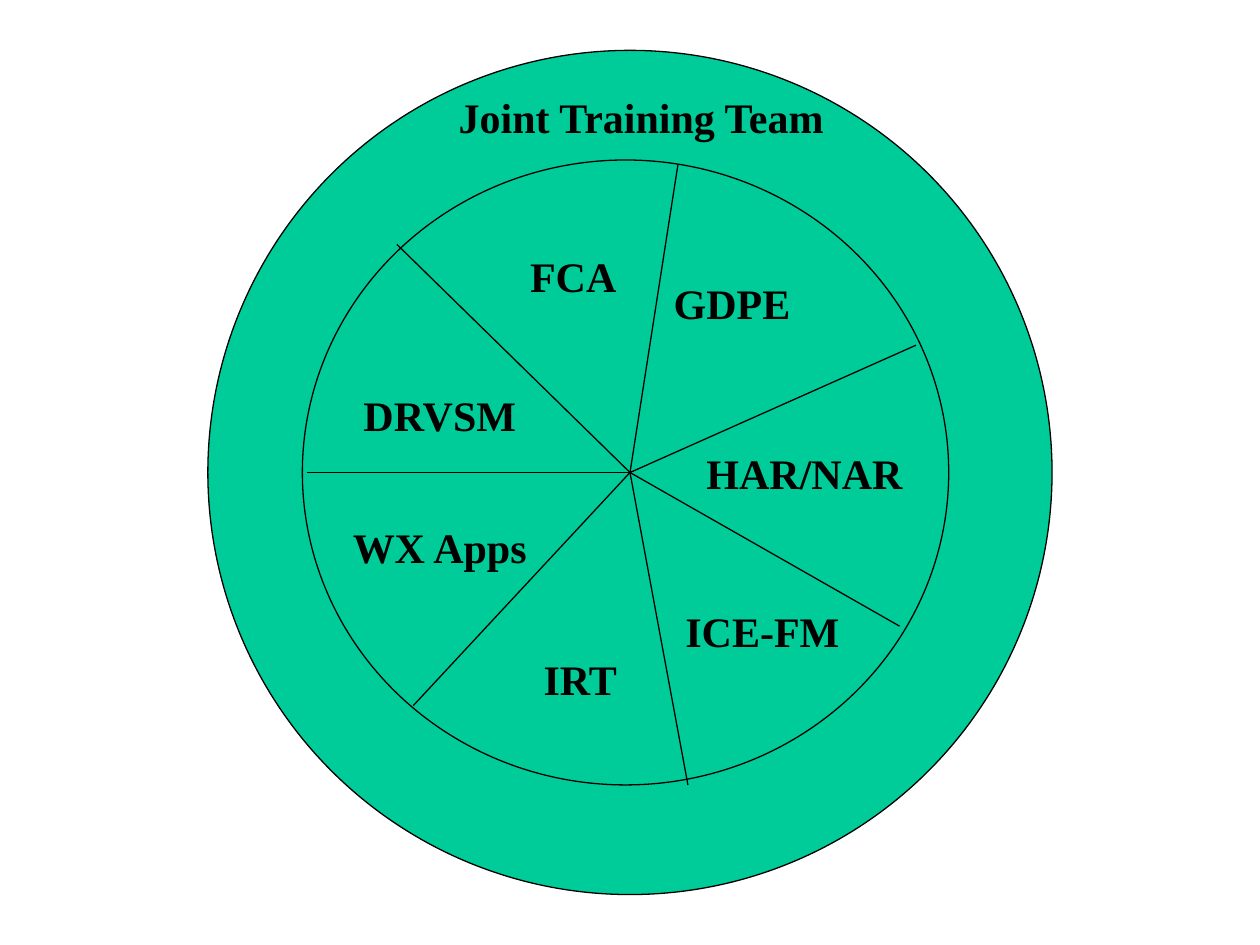
from lxml.etree import SubElement
from pptx import Presentation
from pptx.dml.color import RGBColor
from pptx.enum.shapes import MSO_CONNECTOR, MSO_SHAPE
from pptx.enum.text import MSO_ANCHOR, MSO_AUTO_SIZE, PP_ALIGN
from pptx.oxml.ns import qn
from pptx.util import Inches, Pt

COLORS = {"disc": "00CC99", "ink": "000000"}
FONT = "Times New Roman"
LABEL_HEIGHT = 0.5
HUB = (5, 3.75)
SPOKE_ENDS = [
    (3.15, 1.94),
    (5.38, 1.31),
    (7.27, 2.74),
    (7.14, 4.97),
    (5.46, 6.23),
    (3.28, 5.6),
    (2.44, 3.75),
]
SECTORS = [
    ("FCA", 4.11, 1.94, 0.88),
    ("GDPE", 5.25, 2.15, 1.12),
    ("HAR/NAR", 5.51, 3.5, 1.75),
    ("ICE-FM", 5.34, 4.76, 1.42),
    ("IRT", 4.21, 5.14, 0.79),
    ("WX Apps", 2.69, 4.09, 1.6),
    ("DRVSM", 2.78, 3.04, 1.42),
]


def color(name):
    return RGBColor.from_string(COLORS[name])


def style_line(line):
    line.color.rgb = color("ink")
    line.width = Pt(0.75)


def add_circle(slide, left, top, width, height, fill=None):
    circle = slide.shapes.add_shape(
        MSO_SHAPE.OVAL, Inches(left), Inches(top), Inches(width), Inches(height)
    )
    circle.shadow.inherit = False
    if fill:
        circle.fill.solid()
        circle.fill.fore_color.rgb = color(fill)
    else:
        circle.fill.background()
    style_line(circle.line)


def add_spoke(slide, end):
    start_x, start_y = HUB
    end_x, end_y = end
    spoke = slide.shapes.add_connector(
        MSO_CONNECTOR.STRAIGHT,
        Inches(start_x), Inches(start_y), Inches(end_x), Inches(end_y),
    )
    style_line(spoke.line)
    SubElement(spoke.element.spPr, qn("a:effectLst"))


def format_label(shape, text, alignment):
    frame = shape.text_frame
    frame.text = text
    frame.word_wrap = False
    frame.auto_size = MSO_AUTO_SIZE.NONE
    frame.vertical_anchor = MSO_ANCHOR.TOP
    paragraph = frame.paragraphs[0]
    paragraph.alignment = alignment
    paragraph.font.name = FONT
    paragraph.font.size = Pt(24)
    paragraph.font.bold = True
    paragraph.font.color.rgb = color("ink")


def add_sector_label(slide, text, left, top, width):
    label = slide.shapes.add_textbox(
        Inches(left), Inches(top), Inches(width), Inches(LABEL_HEIGHT)
    )
    format_label(label, text, PP_ALIGN.CENTER)


def place_title(slide, text, left, top, width):
    title = slide.shapes.title
    title.left, title.top = Inches(left), Inches(top)
    title.width, title.height = Inches(width), Inches(LABEL_HEIGHT)
    format_label(title, text, PP_ALIGN.LEFT)
    title.element.getparent().append(title.element)


def main():
    presentation = Presentation()
    presentation.slide_width = Inches(10)
    presentation.slide_height = Inches(7.5)
    slide = presentation.slides.add_slide(presentation.slide_layouts[5])
    add_circle(slide, 1.65, 0.4, 6.7, 6.7, "disc")
    add_circle(slide, 2.4, 1.27, 5.13, 4.96)
    place_title(slide, "Joint Training Team", 3.54, 0.68, 3.16)
    for end in SPOKE_ENDS:
        add_spoke(slide, end)
    for sector in SECTORS:
        add_sector_label(slide, *sector)
    presentation.save("out.pptx")


if __name__ == "__main__":
    main()
